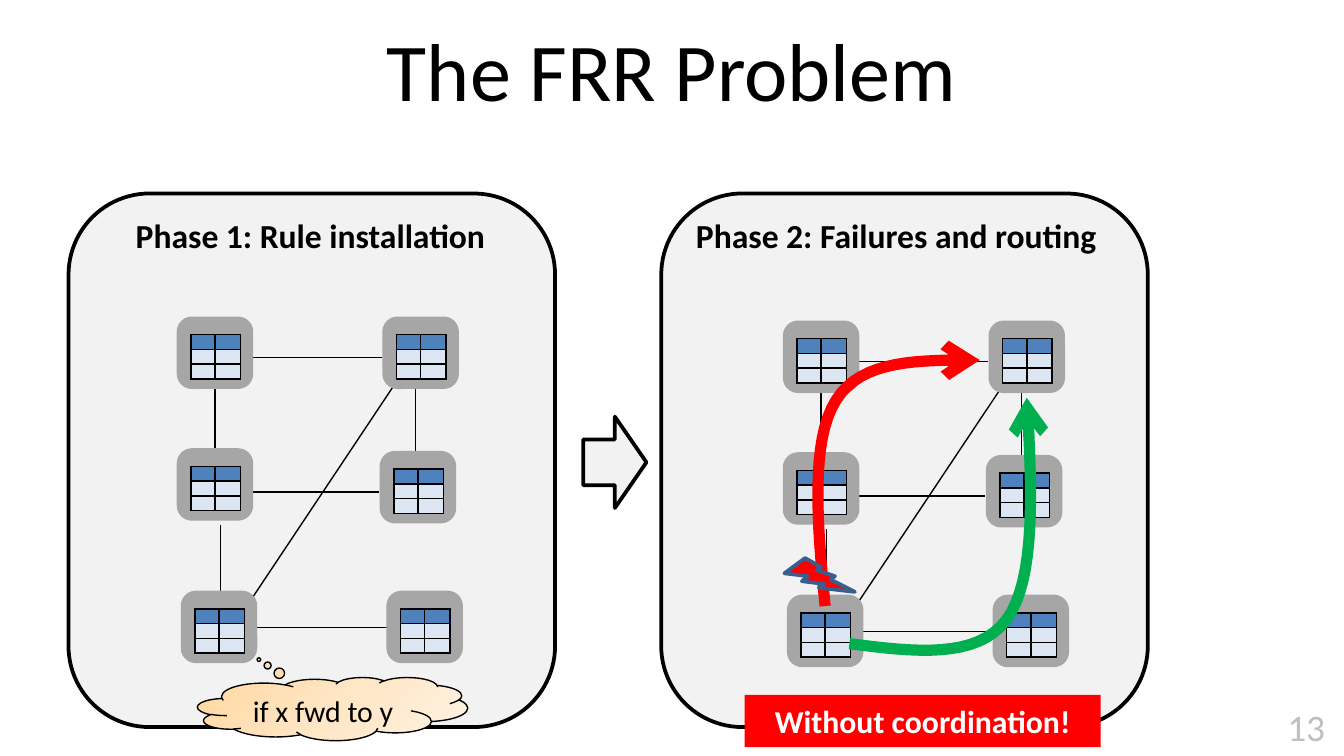
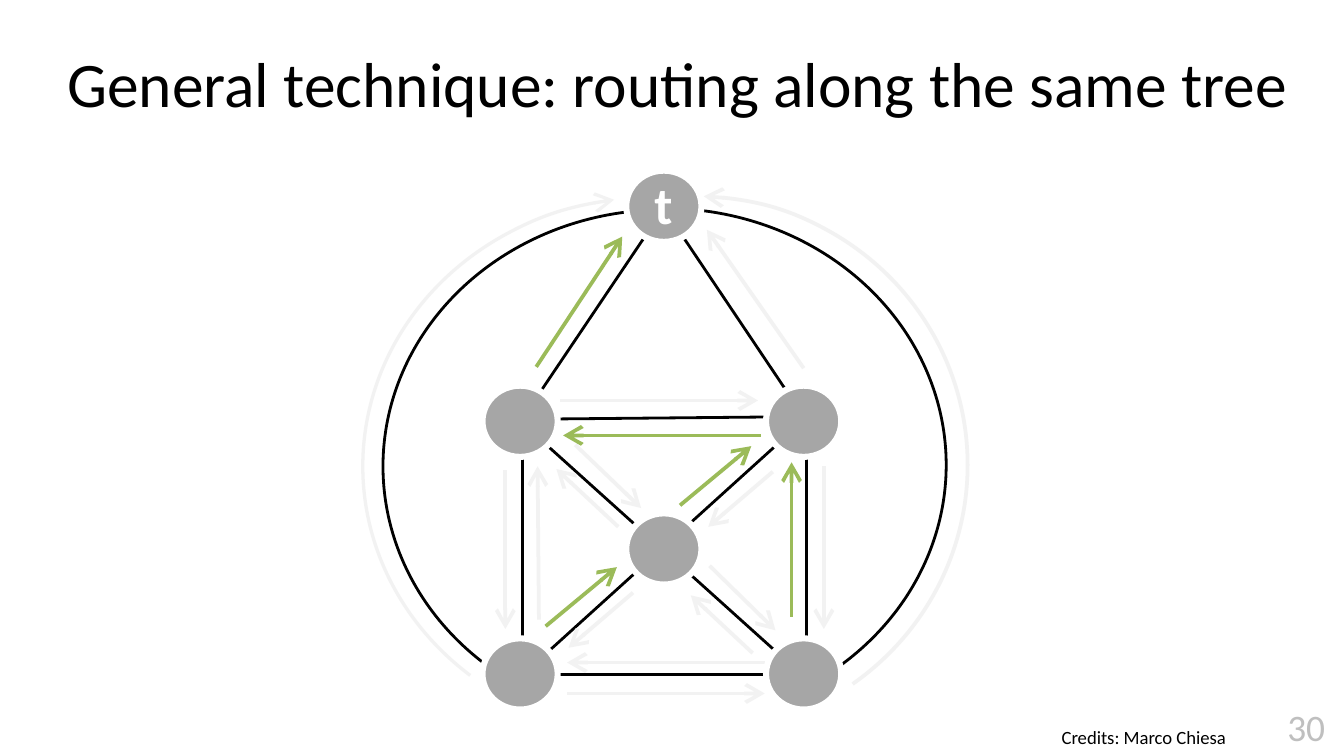
"""Build two slides on fast rerouting: the problem, and routing along a tree."""
from copy import deepcopy
from dataclasses import dataclass
from typing import NamedTuple, Optional

from lxml import etree
from pptx import Presentation
from pptx.dml.color import RGBColor
from pptx.enum.shapes import MSO_CONNECTOR, MSO_SHAPE
from pptx.enum.text import MSO_ANCHOR, MSO_AUTO_SIZE, PP_ALIGN
from pptx.oxml.ns import qn
from pptx.shapes.autoshape import Shape
from pptx.shapes.base import BaseShape
from pptx.slide import Slide
from pptx.util import Inches, Pt

STRAIGHT = MSO_CONNECTOR.STRAIGHT
ROUNDED = MSO_SHAPE.ROUNDED_RECTANGLE
RECTANGLE = MSO_SHAPE.RECTANGLE
RIGHT_ARROW = MSO_SHAPE.RIGHT_ARROW
BOLT = MSO_SHAPE.LIGHTNING_BOLT
CLOUD = MSO_SHAPE.CLOUD_CALLOUT
OVAL = MSO_SHAPE.OVAL
ARC = MSO_SHAPE.ARC
LEFT, CENTER = PP_ALIGN.LEFT, PP_ALIGN.CENTER
TOP, MIDDLE = MSO_ANCHOR.TOP, MSO_ANCHOR.MIDDLE
NO_AUTOFIT = MSO_AUTO_SIZE.NONE


@dataclass(frozen=True)
class Theme:
    font: str = "Calibri"
    black: str = "000000"
    white: str = "FFFFFF"
    panel: str = "F2F2F2"
    node: str = "A6A6A6"
    number: str = "BFBFBF"
    table_head: str = "4F81BD"
    table_body: str = "DCE6F2"
    red: str = "FF0000"
    green: str = "00B050"
    tree: str = "9BBB59"
    bolt_edge: str = "3A5F8C"
    cloud: tuple[str, ...] = ("FFD8A0", "FFE6C5", "FFF2E3")
    title_size: float = 44
    long_title_size: float = 34
    target_size: float = 28
    number_size: float = 20
    heading_size: float = 18
    banner_size: float = 17
    rule_size: float = 16
    credit_size: float = 10


THEME = Theme()


class Point(NamedTuple):
    x: float
    y: float


class Box(NamedTuple):
    left: float
    top: float
    width: float
    height: float


class Segment(NamedTuple):
    x1: float
    y1: float
    x2: float
    y2: float


class Route(NamedTuple):
    points: tuple[Point, ...]
    color: str


class Bend(NamedTuple):
    box: Box
    start: float
    end: float
    color: str
    width: float
    arrow: Optional[str] = None


PANEL_SIZE = (3.62, 3.97)
TITLE_BOX = Box(0.5, 0.04, 9, 0.94)
SECOND_NETWORK = Point(4.51, 0.03)
SWITCHES = (
    Point(1.35, 2.39), Point(2.88, 2.39), Point(1.35, 3.37),
    Point(2.86, 3.39), Point(1.38, 4.43), Point(2.91, 4.43),
)
CABLES = (
    Segment(1.69, 4.73, 3.09, 2.63), Segment(1.89, 4.67, 2.88, 4.67),
    Segment(1.64, 4.43, 1.64, 3.91), Segment(1.6, 3.39, 1.6, 2.88),
    Segment(3.09, 3.39, 3.09, 2.88), Segment(1.83, 3.66, 2.82, 3.66),
    Segment(1.85, 2.66, 2.84, 2.66),
)
FAILED_ROUTE = Route((
    Point(6.14, 4.51), Point(6.08, 3.9), Point(6.03, 3.28), Point(6.22, 2.98),
    Point(6.41, 2.67), Point(6.85, 2.68), Point(7.29, 2.68)), THEME.red)
BACKUP_ROUTE = Route((
    Point(6.32, 4.79), Point(6.79, 4.85), Point(7.27, 4.91), Point(7.49, 4.61),
    Point(7.71, 4.31), Point(7.68, 3.63), Point(7.64, 2.96)), THEME.green)

BENDS = (
    Bend(Box(2.85, 1.55, 4.19, 3.82), 163.24, 31.49, THEME.black, 1.5),
    Bend(Box(2.85, 1.56, 4.19, 3.82), 75.06, 162.04, THEME.black, 1.5),
    Bend(Box(2.7, 1.47, 4.3, 4), 78.57, 157.18, THEME.panel, 1.75, "tailEnd"),
    Bend(Box(3.13, 1.46, 4.07, 4), 163.24, 32.47, THEME.panel, 2, "headEnd"),
)
EDGES = (
    Segment(3.89, 5.02, 6, 5.02), Segment(4.94, 1.55, 6, 3.13),
    Segment(3.89, 3.15, 3.89, 5.02), Segment(4.94, 1.55, 3.89, 3.11),
    Segment(6, 3.11, 6, 5.02), Segment(6, 3.1, 3.89, 3.12),
    Segment(6, 3.11, 3.89, 5.02), Segment(6.02, 5.07, 3.91, 3.17),
)
UNUSED_HOPS = (
    Segment(4.17, 2.98, 5.64, 2.98), Segment(4.22, 5.16, 5.69, 5.16),
    Segment(5.69, 4.93, 4.22, 4.93), Segment(3.76, 3.5, 3.76, 4.68),
    Segment(6.13, 3.47, 6.13, 4.68), Segment(4.71, 4.41, 4.23, 4.82),
    Segment(5.75, 3.51, 5.27, 3.92), Segment(4.28, 3.31, 4.77, 3.78),
    Segment(5.28, 4.21, 5.77, 4.69), Segment(4.6, 3.92, 4.14, 3.49),
    Segment(5.6, 4.86, 5.14, 4.43), Segment(5.98, 2.74, 5.26, 1.71),
    Segment(4.01, 4.61, 4, 3.47),
)
TREE_HOPS = (
    Segment(5.66, 3.24, 4.19, 3.24), Segment(4.06, 4.66, 4.59, 4.22),
    Segment(5.06, 3.76, 5.59, 3.32), Segment(3.99, 2.73, 4.63, 1.76),
    Segment(5.89, 4.59, 5.89, 3.44),
)
VERTICES = (
    Point(4.66, 1.27), Point(3.59, 2.87), Point(5.7, 2.87),
    Point(4.66, 3.82), Point(3.59, 4.75), Point(5.7, 4.75),
)


def rgb(color: str) -> RGBColor:
    return RGBColor.from_string(color)


def place(shape: BaseShape, box: Box) -> None:
    shape.left, shape.top, shape.width, shape.height = map(Inches, box)


def write(shape: Shape, text: str, *, size: float, color: str = THEME.black,
          bold: bool = False, align: PP_ALIGN = LEFT, anchor: MSO_ANCHOR = TOP,
          wrap: bool = True, top_inset: float = 0.05) -> None:
    frame = shape.text_frame
    frame.word_wrap, frame.auto_size = wrap, NO_AUTOFIT
    frame.vertical_anchor, frame.margin_top = anchor, Inches(top_inset)
    paragraph = frame.paragraphs[0]
    paragraph.alignment, paragraph.space_before = align, Pt(0)
    run = paragraph.add_run()
    run.text = text
    run.font.name, run.font.size, run.font.bold = THEME.font, Pt(size), bold
    run.font.color.rgb = rgb(color)


def add_label(slide: Slide, box: Box, text: str, **style) -> None:
    write(slide.shapes.add_textbox(*map(Inches, box)), text, **style)


def outline(shape: BaseShape, color: str, width: float,
            arrow: Optional[str] = None, head: str = "lg") -> None:
    shape.line.color.rgb = rgb(color)
    shape.line.width = Pt(width)
    if arrow:
        etree.SubElement(shape._element.spPr.find(qn("a:ln")),
                         qn(f"a:{arrow}"), type="arrow", w=head, len=head)


def add_figure(slide: Slide, kind: MSO_SHAPE, box: Box, *,
               fill: Optional[str] = None, line: Optional[str] = None,
               width: float = 2, arrow: Optional[str] = None,
               adjust: tuple[float, ...] = (), turn: float = 0) -> Shape:
    figure = slide.shapes.add_shape(kind, *map(Inches, box))
    figure.shadow.inherit = False
    figure.rotation = turn
    for index, value in enumerate(adjust):
        figure.adjustments[index] = value
    if fill:
        figure.fill.solid()
        figure.fill.fore_color.rgb = rgb(fill)
    else:
        figure.fill.background()
    if line:
        outline(figure, line, width, arrow)
    else:
        figure.line.fill.background()
    return figure


def add_segment(slide: Slide, segment: Segment, color: str, width: float,
                arrow: Optional[str] = None) -> None:
    connector = slide.shapes.add_connector(STRAIGHT, *map(Inches, segment))
    outline(connector, color, width, arrow)
    etree.SubElement(connector._element.spPr, qn("a:effectLst"))


def bezier(points: tuple[Point, ...], t: float) -> Point:
    weights = ((1 - t) ** 3, 3 * t * (1 - t) ** 2, 3 * t * t * (1 - t), t ** 3)
    return Point(sum(w * p.x for w, p in zip(weights, points)),
                 sum(w * p.y for w, p in zip(weights, points)))


def add_route(slide: Slide, route: Route, steps: int = 16) -> None:
    start = route.points[0]
    builder = slide.shapes.build_freeform(Inches(start.x), Inches(start.y))
    trace = [bezier(route.points[first:first + 4], step / steps)
             for first in range(0, len(route.points) - 1, 3)
             for step in range(1, steps + 1)]
    builder.add_line_segments(
        [(Inches(p.x), Inches(p.y)) for p in trace], close=False)
    curve = builder.convert_to_shape()
    curve.shadow.inherit = False
    curve.fill.background()
    outline(curve, route.color, 6, "tailEnd", "med")


def add_rule_table(slide: Slide, box: Box) -> None:
    table = slide.shapes.add_table(3, 2, *map(Inches, box)).table
    for column, width in zip(table.columns, (0.18, 0.19)):
        column.width = Inches(width)
    for index, row in enumerate(table.rows):
        row.height = Inches(0.11)
        for cell in row.cells:
            cell.margin_left = cell.margin_right = 0
            cell.margin_top = cell.margin_bottom = 0
            for side in ("lnL", "lnR", "lnT", "lnB"):
                border = etree.SubElement(
                    cell._tc.get_or_add_tcPr(), qn(f"a:{side}"), w=str(Pt(1)))
                paint = etree.SubElement(border, qn("a:solidFill"))
                etree.SubElement(paint, qn("a:srgbClr"), val=THEME.black)
            cell.fill.solid()
            cell.fill.fore_color.rgb = rgb(
                THEME.table_body if index else THEME.table_head)
            etree.SubElement(cell.text_frame.paragraphs[0]._p,
                             qn("a:endParaRPr"), sz="100")


def add_network(slide: Slide, shift: Point) -> None:
    for cable in CABLES:
        add_segment(slide, Segment(cable.x1 + shift.x, cable.y1 + shift.y,
                                   cable.x2 + shift.x, cable.y2 + shift.y),
                    THEME.black, 0.75)
    for switch in SWITCHES:
        x, y = switch.x + shift.x, switch.y + shift.y
        add_figure(slide, ROUNDED, Box(x, y, 0.5, 0.47), fill=THEME.node,
                   line=THEME.node, width=5, adjust=(0.167,))
        add_rule_table(slide, Box(x + 0.07, y + 0.1, 0.37, 0.33))


def add_rule_cloud(slide: Slide) -> None:
    cloud = add_figure(slide, CLOUD, Box(1.47, 5.04, 2.01, 0.47),
                       line=THEME.black, width=0.75, adjust=(-0.273, -0.781))
    cloud.fill.gradient()
    cloud.fill.gradient_angle = 315
    stops = cloud._element.spPr.find(f".//{qn('a:gsLst')}")
    stops.append(deepcopy(stops[-1]))
    for index, stop in enumerate(cloud.fill.gradient_stops):
        stop.position = index / 2
        stop.color.rgb = rgb(THEME.cloud[index])
    write(cloud, "if x fwd to y", size=THEME.rule_size, align=CENTER,
          anchor=MIDDLE, top_inset=0.09)


def start_slide(deck, layout: int, title: str, box: Box, size: float, number: str) -> Slide:
    slide = deck.slides.add_slide(deck.slide_layouts[layout])
    place(slide.shapes.title, box)
    write(slide.shapes.title, title, size=size, align=CENTER, anchor=MIDDLE)
    add_label(slide, Box(9.48, 5.19, 0.49, 0.44), number,
              size=THEME.number_size, color=THEME.number, wrap=False)
    return slide


def build_problem(deck) -> None:
    slide = start_slide(deck, 1, "The FRR Problem", TITLE_BOX, THEME.title_size, "13")
    for left in (4.92, 0.51):
        add_figure(slide, ROUNDED, Box(left, 1.44, *PANEL_SIZE),
                   fill=THEME.panel, line=THEME.black)
    heading = slide.placeholders[1]
    slide.shapes._spTree.append(heading._element)
    place(heading, Box(0.91, 1.22, 3.78, 1.81))
    properties = heading.text_frame.paragraphs[0]._p.get_or_add_pPr()
    properties.set("marL", "0")
    properties.set("indent", "0")
    etree.SubElement(properties, qn("a:buNone"))
    phase = dict(size=THEME.heading_size, bold=True, top_inset=0.38)
    write(heading, "Phase 1: Rule installation", **phase)
    add_label(slide, Box(5.08, 1.22, 3.78, 1.81), "Phase 2: Failures and routing", **phase)
    add_network(slide, Point(0, 0))
    add_figure(slide, RIGHT_ARROW, Box(4.34, 3.1, 0.47, 0.68),
               fill=THEME.panel, line=THEME.black)
    add_network(slide, SECOND_NETWORK)
    add_route(slide, FAILED_ROUTE)
    add_figure(slide, BOLT, Box(5.86, 4.13, 0.46, 0.35), fill=THEME.red,
               line=THEME.bolt_edge, turn=342.8)
    add_route(slide, BACKUP_ROUTE)
    banner = add_figure(slide, RECTANGLE, Box(5.54, 5.17, 2.65, 0.39), fill=THEME.red)
    write(banner, "Without coordination!", size=THEME.banner_size,
          color=THEME.white, bold=True, align=CENTER)
    add_rule_cloud(slide)


def build_tree(deck) -> None:
    slide = start_slide(deck, 5, "General technique: routing along the same tree",
                        Box(0.04, 0.14, 10, 0.94), THEME.long_title_size, "30")
    for bend in BENDS:
        add_figure(slide, ARC, bend.box, line=bend.color, width=bend.width,
                   arrow=bend.arrow, adjust=(bend.start, bend.end))
    for segments, color, width, arrow in (
            (EDGES, THEME.black, 1.5, None),
            (UNUSED_HOPS, THEME.panel, 2, "tailEnd"),
            (TREE_HOPS, THEME.tree, 2, "tailEnd")):
        for segment in segments:
            add_segment(slide, segment, color, width, arrow)
    for vertex in VERTICES:
        add_figure(slide, OVAL, Box(*vertex, 0.56, 0.53), fill=THEME.node,
                   line=THEME.white, width=3.25)
    add_label(slide, Box(4.77, 1.23, 0.53, 0.57), "t", size=THEME.target_size,
              color=THEME.white, bold=True)
    add_label(slide, Box(7.31, 5.29, 2.4, 0.39), "Credits: Marco Chiesa",
              size=THEME.credit_size, align=CENTER, anchor=MIDDLE)


def main() -> None:
    deck = Presentation()
    deck.slide_width, deck.slide_height = Inches(10), Inches(10 * 9 / 16)
    build_problem(deck)
    build_tree(deck)
    deck.save("out.pptx")


if __name__ == "__main__":
    main()
